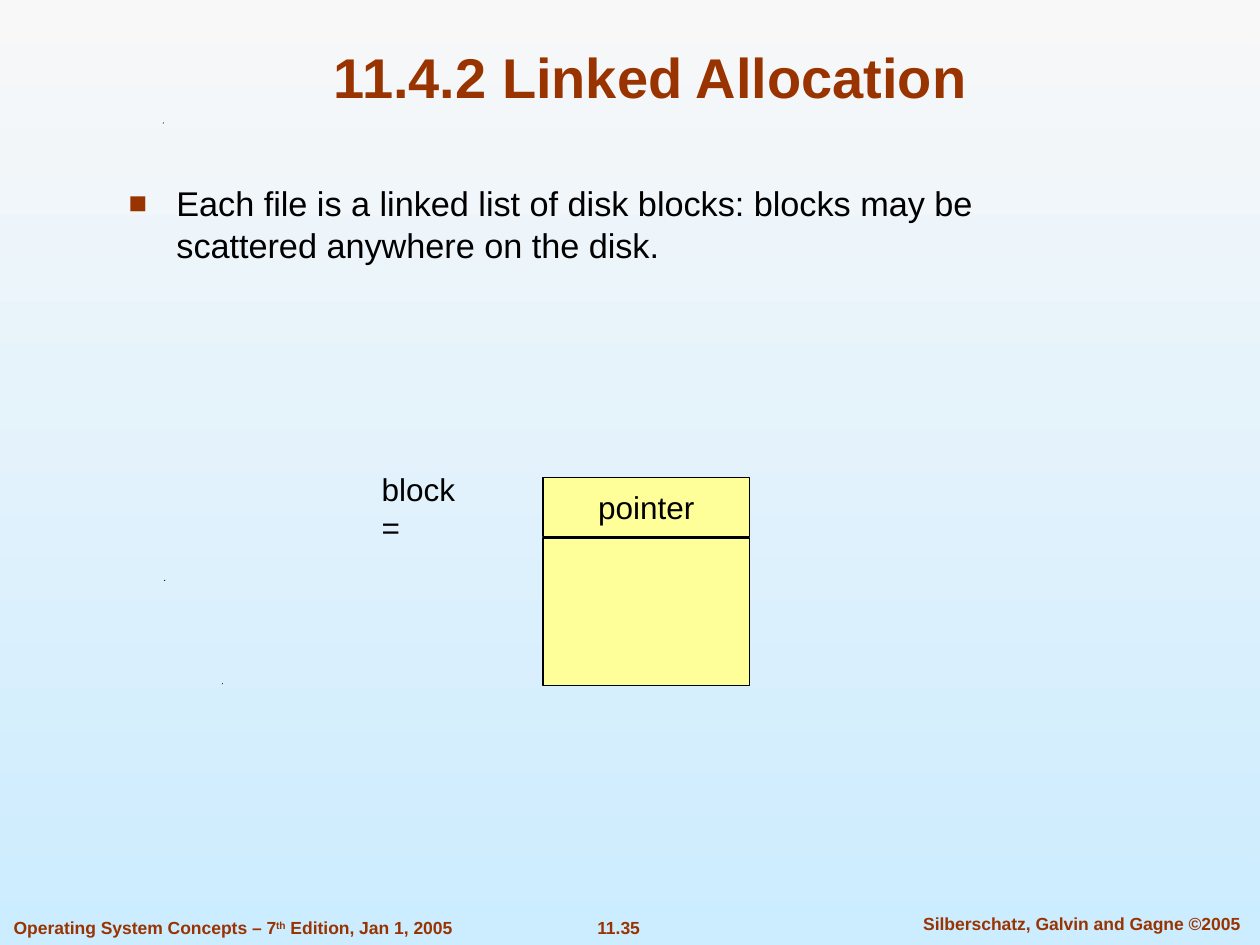
from pptx import Presentation
from pptx.dml.color import RGBColor
from pptx.enum.shapes import MSO_SHAPE
from pptx.enum.text import MSO_ANCHOR, MSO_AUTO_SIZE, PP_ALIGN
from pptx.oxml.ns import qn
from pptx.util import Inches, Pt
from lxml import etree

RECTANGLE = MSO_SHAPE.RECTANGLE
LEFT, CENTER = PP_ALIGN.LEFT, PP_ALIGN.CENTER
TOP, MIDDLE, BOTTOM = MSO_ANCHOR.TOP, MSO_ANCHOR.MIDDLE, MSO_ANCHOR.BOTTOM
NO_AUTOFIT = MSO_AUTO_SIZE.NONE

BROWN, BLACK, YELLOW = "993300", "000000", "FFFF99"
SKY_TOP, SKY_BOTTOM = "F8F8F8", "CCECFF"


def color(value):
    return RGBColor.from_string(value)


def inches(*values):
    return [Inches(value) for value in values]


def write_text(shape, text, size=18, ink=BLACK, bold=False, align=LEFT,
               anchor=TOP, wrap=True, superscript=None):
    frame = shape.text_frame
    frame.auto_size = NO_AUTOFIT
    frame.word_wrap = wrap
    frame.vertical_anchor = anchor
    paragraph = frame.paragraphs[0]
    paragraph.alignment = align
    paragraph.space_before = Pt(0)
    for part in [text] if isinstance(text, str) else text:
        run = paragraph.add_run()
        run.text = part
        run.font.name = "Arial"
        run.font.size = Pt(size)
        run.font.bold = bold
        run.font.color.rgb = color(ink)
        if part == superscript:
            run._r.get_or_add_rPr().set("baseline", "30000")
    return paragraph


class SlideBuilder:
    def __init__(self, presentation):
        self.slide = presentation.slides.add_slide(presentation.slide_layouts[1])
        self.shapes = self.slide.shapes

    def background(self, top, bottom):
        fill = self.slide.background.fill
        fill.gradient()
        fill.gradient_angle = 270
        for stop, value in zip(fill.gradient_stops, (top, bottom)):
            stop.color.rgb = color(value)

    def place(self, shape, box):
        shape.left, shape.top, shape.width, shape.height = inches(*box)

    def title(self, text, box):
        title = self.shapes.title
        self.place(title, box)
        write_text(title, text, size=32, ink=BROWN, bold=True,
                   align=CENTER, anchor=BOTTOM)

    def bullet(self, text, box):
        body = self.slide.placeholders[1]
        self.place(body, box)
        paragraph = write_text(body, text, size=19.6)
        properties = paragraph._p.get_or_add_pPr()
        properties.set("marL", str(Inches(0.38)))
        properties.set("indent", str(-Inches(0.38)))
        bullet_color = etree.SubElement(properties, qn("a:buClr"))
        etree.SubElement(bullet_color, qn("a:srgbClr"), val=BROWN)
        etree.SubElement(properties, qn("a:buSzPct"), val="90000")
        etree.SubElement(properties, qn("a:buFont"), typeface="Arial")
        etree.SubElement(properties, qn("a:buChar"), char="■")

    def footer(self, text, box, **style):
        write_text(self.shapes.add_textbox(*inches(*box)), text,
                   size=10, ink=BROWN, bold=True, **style)

    def speck(self, left, top):
        builder = self.shapes.build_freeform(Inches(left), Inches(top + 0.01))
        builder.add_line_segments([inches(left + 0.01, top),
                                   inches(left + 0.01, top + 0.01)])
        shape = builder.convert_to_shape()
        shape.shadow.inherit = False
        shape.fill.solid()
        shape.fill.fore_color.rgb = color(BLACK)
        shape.line.fill.background()

    def group(self):
        return self.shapes.add_group_shape()

    def cell(self, group, box, text=None):
        shape = group.shapes.add_shape(RECTANGLE, *inches(*box))
        shape.shadow.inherit = False
        shape.fill.solid()
        shape.fill.fore_color.rgb = color(YELLOW)
        shape.line.color.rgb = color(BLACK)
        shape.line.width = Pt(0.75)
        if text:
            write_text(shape, text, align=CENTER, anchor=MIDDLE, wrap=False)

    def label(self, group, text, box, tab):
        shape = group.shapes.add_textbox(*inches(*box))
        paragraph = write_text(shape, text, anchor=MIDDLE)
        properties = paragraph._p.get_or_add_pPr()
        tabs = etree.SubElement(properties, qn("a:tabLst"))
        etree.SubElement(tabs, qn("a:tab"), pos=str(Inches(tab)), algn="l")


def main():
    presentation = Presentation()
    presentation.slide_width, presentation.slide_height = inches(10, 7.5)
    builder = SlideBuilder(presentation)
    builder.background(SKY_TOP, SKY_BOTTOM)

    builder.title("11.4.2 Linked Allocation", (0.75, 0.25, 8.83, 0.67))
    builder.bullet("Each file is a linked list of disk blocks: blocks may be "
                   "scattered anywhere on the disk.", (0.92, 1.4, 8.04, 0.81))

    for left, top in ((1.76, 5.42), (1.3, 4.6), (1.29, 0.97)):
        builder.speck(left, top)

    builder.footer(["Operating System Concepts – 7", "th", " Edition, Jan 1, 2005"],
                   (0.01, 7.23, 3.68, 0.27), wrap=False, superscript="th")
    builder.footer("11.35", (4.38, 7.23, 1.06, 0.27), align=CENTER, wrap=False)
    builder.footer("Silberschatz, Galvin and Gagne ©2005",
                   (7.1, 7.2, 2.97, 0.27), align=CENTER)

    block = builder.group()
    builder.cell(block, (4.31, 3.79, 1.64, 0.47), "pointer")
    builder.cell(block, (4.31, 4.27, 1.64, 1.17))
    builder.label(block, "block\t=", (2.93, 3.83, 1.34, 0.4), tab=1)

    presentation.save("out.pptx")


if __name__ == "__main__":
    main()
